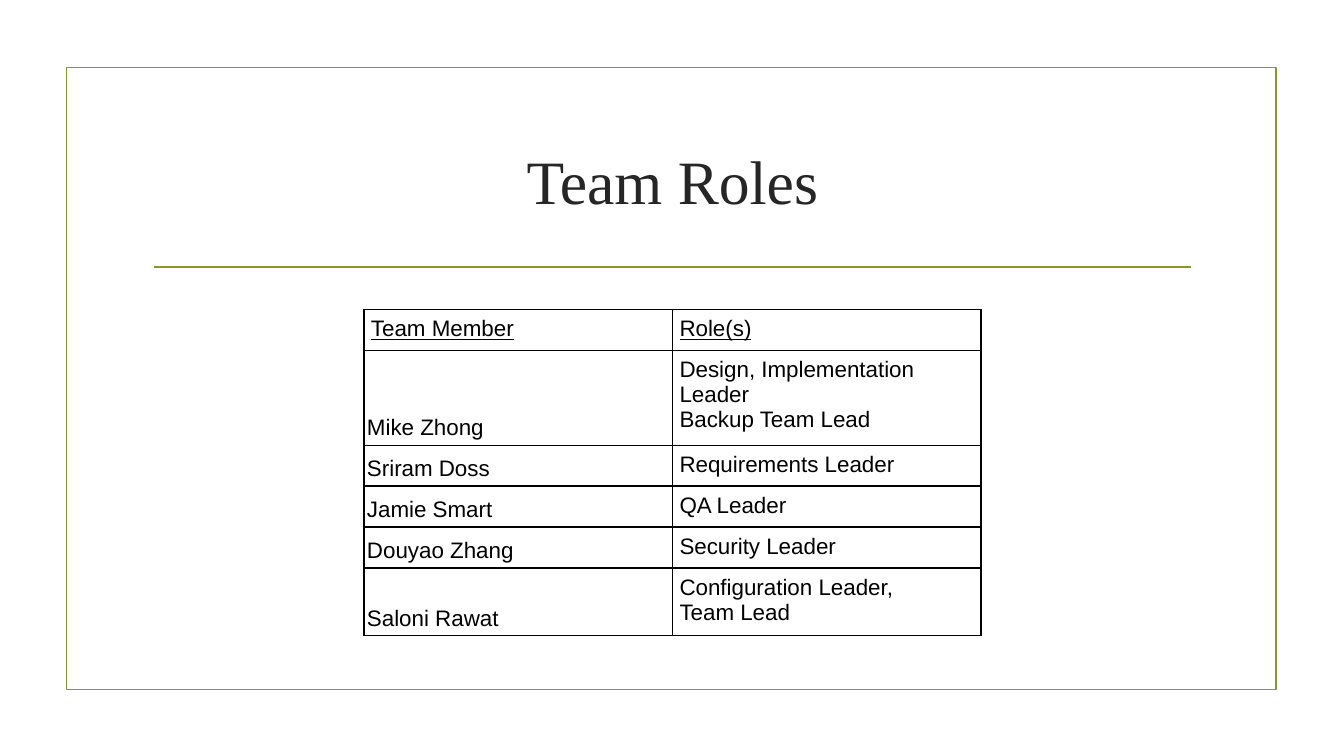
from lxml import etree
from pptx import Presentation
from pptx.dml.color import RGBColor
from pptx.enum.shapes import MSO_CONNECTOR, MSO_SHAPE
from pptx.enum.text import MSO_ANCHOR, PP_ALIGN
from pptx.oxml.ns import qn
from pptx.util import Inches, Pt

RECTANGLE = MSO_SHAPE.RECTANGLE
STRAIGHT = MSO_CONNECTOR.STRAIGHT
TOP, MIDDLE, BOTTOM = MSO_ANCHOR.TOP, MSO_ANCHOR.MIDDLE, MSO_ANCHOR.BOTTOM
CENTER = PP_ALIGN.CENTER

OLIVE, CHARCOAL, BLACK = "83992A", "262626", "000000"

TEAM = [
    ("Team Member", "Role(s)", 0.39),
    ("Mike Zhong", "Design, Implementation Leader\nBackup Team Lead", 0.88),
    ("Sriram Doss", "Requirements Leader", 0.39),
    ("Jamie Smart", "QA Leader", 0.39),
    ("Douyao Zhang", "Security Leader", 0.38),
    ("Saloni Rawat", "Configuration Leader,\nTeam Lead", 0.64),
]


def paint(target, color):
    target.rgb = RGBColor.from_string(color)


def style_font(font, name, size, color):
    font.name = name
    font.size = Pt(size)
    paint(font.color, color)


def style_line(line):
    paint(line.color, OLIVE)
    line.width = Pt(1.25)


def add_frame(slide, left, top, width, height):
    frame = slide.shapes.add_shape(
        RECTANGLE, Inches(left), Inches(top), Inches(width), Inches(height))
    frame.shadow.inherit = False
    frame.fill.background()
    style_line(frame.line)


def add_rule(slide, start, end, y):
    rule = slide.shapes.add_connector(
        STRAIGHT, Inches(start), Inches(y), Inches(end), Inches(y))
    style_line(rule.line)
    etree.SubElement(rule._element.spPr, qn("a:effectLst"))


def add_title(slide, text, left, top, width, height):
    title = slide.shapes.add_textbox(
        Inches(left), Inches(top), Inches(width), Inches(height)).text_frame
    title.word_wrap = True
    title.vertical_anchor = MIDDLE
    title.text = text
    heading = title.paragraphs[0]
    heading.alignment = CENTER
    style_font(heading.font, "Times New Roman", 44, CHARCOAL)


def add_borders(cell):
    properties = cell._tc.get_or_add_tcPr()
    for position, side in enumerate(("lnL", "lnR", "lnT", "lnB")):
        border = etree.Element(qn(f"a:{side}"), w=str(Pt(1)))
        fill = etree.SubElement(border, qn("a:solidFill"))
        etree.SubElement(fill, qn("a:srgbClr"), val=BLACK)
        properties.insert(position, border)


def fill_cell(cell, text, anchor, side_margin, edge_margin, underline):
    cell.text = text
    cell.vertical_anchor = anchor
    cell.margin_left = cell.margin_right = Inches(side_margin)
    cell.margin_top = cell.margin_bottom = Inches(edge_margin)
    cell.fill.background()
    add_borders(cell)
    for paragraph in cell.text_frame.paragraphs:
        style_font(paragraph.font, "Arial", 16, BLACK)
        paragraph.font.underline = underline


def add_team_table(slide, left, top, width):
    height = sum(row_height for _, _, row_height in TEAM)
    table = slide.shapes.add_table(
        len(TEAM), 2, Inches(left), Inches(top), Inches(width), Inches(height)).table
    table.first_row = False
    table.horz_banding = False
    for index, (member, role, row_height) in enumerate(TEAM):
        table.rows[index].height = Inches(row_height)
        is_header = index == 0
        member_layout = (TOP, 0.07, 0.07) if is_header else (BOTTOM, 0.03, 0.05)
        fill_cell(table.cell(index, 0), member, *member_layout, is_header)
        fill_cell(table.cell(index, 1), role, TOP, 0.07, 0.07, is_header)


def main():
    presentation = Presentation()
    presentation.slide_width = Inches(13.33)
    presentation.slide_height = Inches(7.5)
    slide = presentation.slides.add_slide(presentation.slide_layouts[6])
    add_frame(slide, 0.66, 0.67, 12, 6.17)
    add_rule(slide, 1.53, 11.81, 2.65)
    add_title(slide, "Team Roles", 1.42, 1.07, 10.5, 1.43)
    add_team_table(slide, 3.61, 3.07, 6.12)
    presentation.save("out.pptx")


if __name__ == "__main__":
    main()
